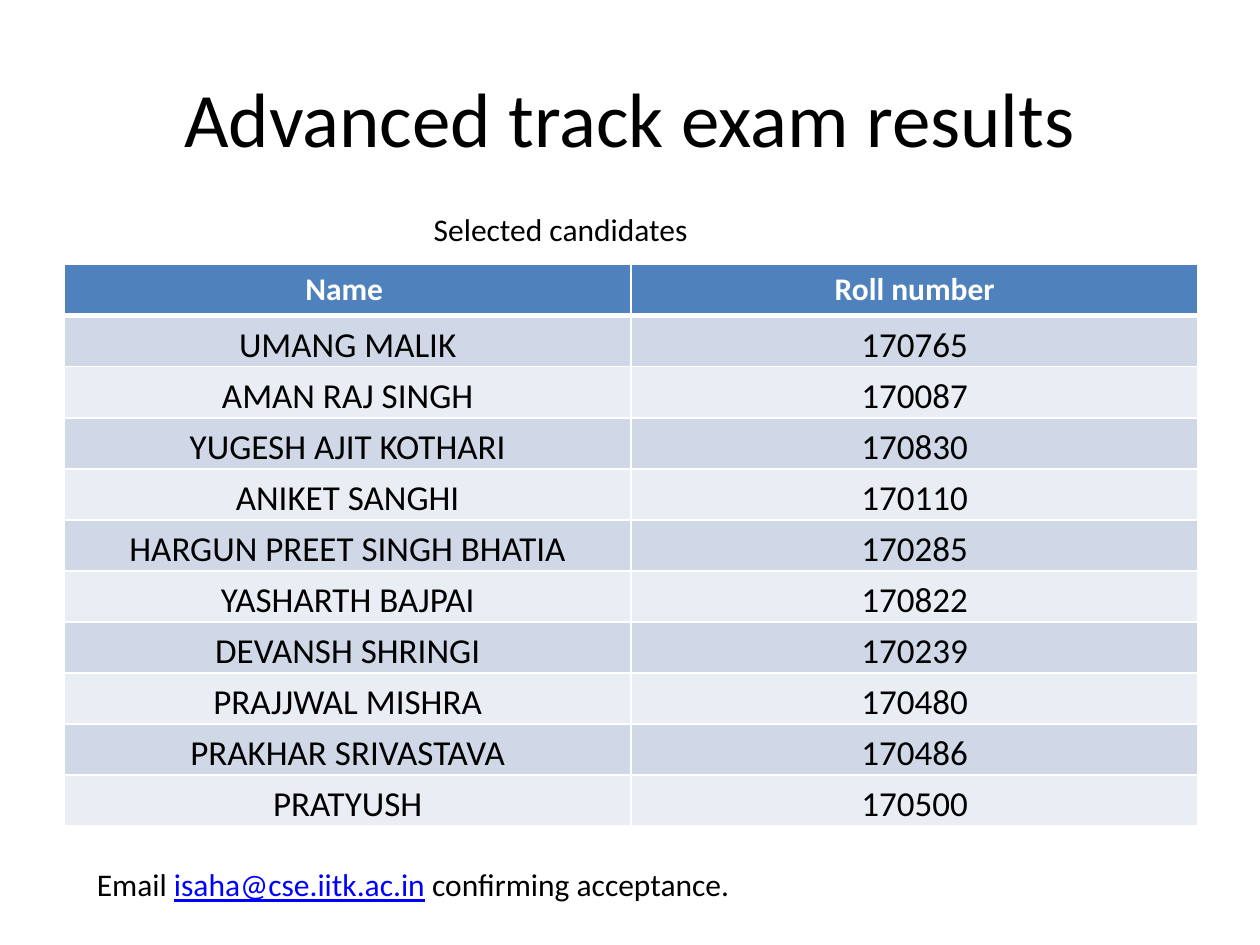
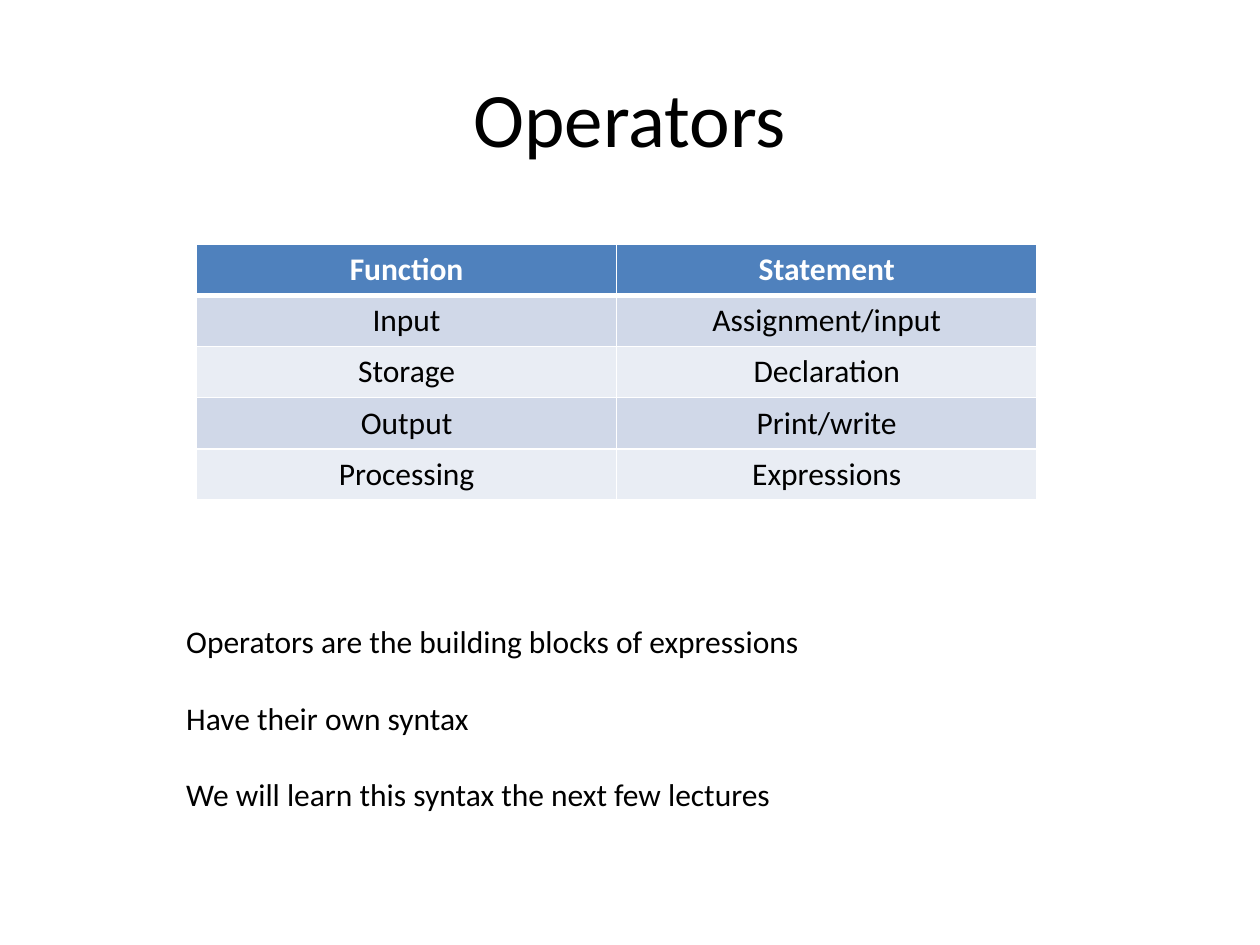
from dataclasses import dataclass

from lxml.etree import SubElement
from pptx import Presentation
from pptx.dml.color import RGBColor
from pptx.enum.text import MSO_ANCHOR, MSO_AUTO_SIZE, PP_ALIGN
from pptx.oxml.ns import qn
from pptx.util import Pt

EMU_PER_PX = 9144


@dataclass(frozen=True)
class Theme:
    """Colours, font and type sizes shared by the slides."""
    font: str = "Calibri"
    ink: str = "000000"
    paper: str = "FFFFFF"
    header: str = "4F81BD"
    bands: tuple = ("D0D8E8", "E9EDF4")
    link: str = "0000FF"
    title_size: int = 44
    text_size: int = 18
    roster_size: int = 20
    line_gap: int = 22
    rule: int = 1
    header_rule: int = 3


THEME = Theme()

CANDIDATES = [
    ("UMANG MALIK", "170765"),
    ("AMAN RAJ SINGH", "170087"),
    ("YUGESH AJIT KOTHARI", "170830"),
    ("ANIKET SANGHI", "170110"),
    ("HARGUN PREET SINGH BHATIA", "170285"),
    ("YASHARTH BAJPAI", "170822"),
    ("DEVANSH SHRINGI", "170239"),
    ("PRAJJWAL MISHRA", "170480"),
    ("PRAKHAR SRIVASTAVA", "170486"),
    ("PRATYUSH", "170500"),
]

STATEMENTS = [
    ("Input", "Assignment/input"),
    ("Storage", "Declaration"),
    ("Output", "Print/write"),
    ("Processing", "Expressions"),
]


def px(*lengths):
    """Turn px lengths into a list of EMU."""
    return [length * EMU_PER_PX for length in lengths]


def style_font(font, size, color=THEME.ink, bold=False):
    """Apply the theme font with a size, colour and weight."""
    font.name = THEME.font
    font.size = Pt(size)
    font.bold = bold
    font.color.rgb = RGBColor.from_string(color)


def add_titled_slide(deck, heading):
    """Add a slide whose title placeholder holds the heading."""
    slide = deck.slides.add_slide(deck.slide_layouts[5])
    title = slide.shapes.title
    title.left, title.top, title.width, title.height = px(50, 30, 900, 125)
    title.text_frame.text = heading
    title.text_frame.vertical_anchor = MSO_ANCHOR.MIDDLE
    paragraph = title.text_frame.paragraphs[0]
    paragraph.alignment = PP_ALIGN.CENTER
    style_font(paragraph.font, THEME.title_size)
    return slide


def add_text(slide, box, lines, align=PP_ALIGN.LEFT):
    """Add a wrapped text box with spaced lines and return its paragraphs."""
    frame = slide.shapes.add_textbox(*px(*box)).text_frame
    frame.word_wrap = True
    frame.auto_size = MSO_AUTO_SIZE.SHAPE_TO_FIT_TEXT
    frame.text = "\n".join(lines)
    for index, paragraph in enumerate(frame.paragraphs):
        paragraph.alignment = align
        paragraph.space_before = Pt(THEME.line_gap if index else 0)
        style_font(paragraph.font, THEME.text_size)
    return frame.paragraphs


def rule_cell(cell, top, bottom):
    """Draw the four borders of a cell, with top and bottom widths in points."""
    properties = cell._tc.get_or_add_tcPr()
    widths = {"a:lnL": THEME.rule, "a:lnR": THEME.rule, "a:lnT": top, "a:lnB": bottom}
    for side, width in widths.items():
        line = SubElement(properties, qn(side), w=str(Pt(width)))
        SubElement(SubElement(line, qn("a:solidFill")), qn("a:srgbClr"), val=THEME.paper)


def fill_cell(cell, text, row, size):
    """Write one cell, styled as header or band by its row."""
    is_header = row == 0
    rule_cell(
        cell,
        top=THEME.header_rule if row == 1 else THEME.rule,
        bottom=THEME.header_rule if is_header else THEME.rule,
    )
    cell.fill.solid()
    fill = THEME.header if is_header else THEME.bands[(row - 1) % 2]
    cell.fill.fore_color.rgb = RGBColor.from_string(fill)
    cell.text = text
    paragraph = cell.text_frame.paragraphs[0]
    paragraph.alignment = PP_ALIGN.CENTER
    if is_header:
        style_font(paragraph.font, THEME.text_size, THEME.paper, bold=True)
    else:
        style_font(paragraph.font, size)


def add_banded_table(slide, box, headings, records, size=THEME.text_size):
    """Add a table of equal rows and columns under a header row."""
    rows = [headings, *records]
    table = slide.shapes.add_table(len(rows), len(headings), *px(*box)).table
    for row, values in enumerate(rows):
        for column, value in enumerate(values):
            fill_cell(table.cell(row, column), value, row, size)
    return table


def seat_body_text(table):
    """Set body cells on their lower edge with hairline margins."""
    hairline = px(1)[0]
    for row in list(table.rows)[1:]:
        for cell in row.cells:
            cell.vertical_anchor = MSO_ANCHOR.BOTTOM
            cell.margin_left = cell.margin_right = cell.margin_top = hairline
            cell.margin_bottom = 0


def add_acceptance_note(slide):
    """Add the line that asks for an e-mail, with a marked address."""
    note = add_text(slide, (67, 682, 866, 40), ["Email "])[0]
    address = note.add_run()
    address.text = "isaha@cse.iitk.ac.in"
    address.font.underline = True
    address.font.color.rgb = RGBColor.from_string(THEME.link)
    note.add_run().text = " confirming acceptance."


def build_results(deck):
    """Build the slide of selected candidates."""
    slide = add_titled_slide(deck, "Advanced track exam results")
    roster = add_banded_table(
        slide, (51, 210, 900, 446), ("Name ", "Roll number"), CANDIDATES, THEME.roster_size
    )
    seat_body_text(roster)
    add_text(slide, (193, 162, 504, 40), ["Selected candidates"], PP_ALIGN.CENTER)
    add_acceptance_note(slide)


def build_operators(deck):
    """Build the slide that introduces operators."""
    slide = add_titled_slide(deck, "Operators")
    add_banded_table(slide, (156, 194, 667, 202), ("Function", "Statement"), STATEMENTS)
    add_text(slide, (138, 489, 693, 162), [
        "Operators are the building blocks of expressions",
        "Have their own syntax",
        "We will learn this syntax the next few lectures",
    ])


def main():
    """Build and save the presentation."""
    deck = Presentation()
    deck.slide_width, deck.slide_height = px(1000, 750)
    build_results(deck)
    build_operators(deck)
    deck.save("out.pptx")


if __name__ == "__main__":
    main()
